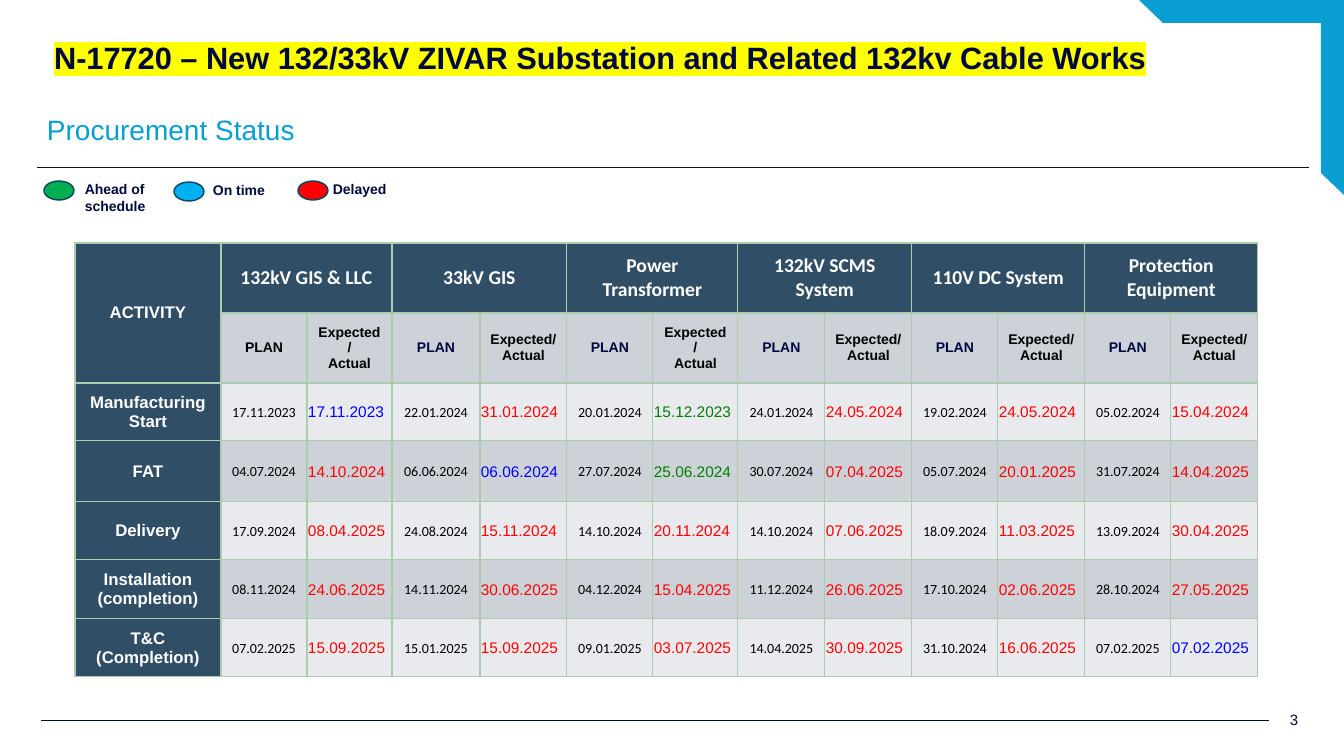
from lxml import etree
from pptx import Presentation
from pptx.dml.color import RGBColor
from pptx.enum.shapes import MSO_CONNECTOR, MSO_SHAPE
from pptx.enum.text import MSO_ANCHOR, MSO_AUTO_SIZE, PP_ALIGN
from pptx.oxml.ns import qn
from pptx.util import Emu, Pt

STRAIGHT = MSO_CONNECTOR.STRAIGHT
OVAL = MSO_SHAPE.OVAL
TOP, MIDDLE = MSO_ANCHOR.TOP, MSO_ANCHOR.MIDDLE
NO_FIT = MSO_AUTO_SIZE.NONE
LEFT, CENTER = PP_ALIGN.LEFT, PP_ALIGN.CENTER

SLIDE_W, SLIDE_H = 1344, 756
EMU_PER_PX = 12192000 / SLIDE_W

NAVY = RGBColor(0x00, 0x09, 0x3F)
SKY = RGBColor(0x08, 0x9E, 0xD1)
RULE = RGBColor(0x11, 0x11, 0x21)
WHITE = RGBColor(0xFF, 0xFF, 0xFF)
BLACK = RGBColor(0x00, 0x00, 0x00)
YELLOW = RGBColor(0xFF, 0xFF, 0x00)
HEADER = RGBColor(0x30, 0x4E, 0x66)
BAND_DARK = RGBColor(0xCC, 0xD2, 0xD8)
BAND_LIGHT = RGBColor(0xE8, 0xEA, 0xED)
BORDER = RGBColor(0xAC, 0xCC, 0xAE)
OVAL_LINE = RGBColor(0x04, 0x45, 0x5C)
OVAL_GREEN = RGBColor(0x00, 0xB0, 0x50)
OVAL_BLUE = RGBColor(0x00, 0xB0, 0xF0)
RED = RGBColor(0xFF, 0x00, 0x00)
GREEN = RGBColor(0x00, 0x80, 0x00)
BLUE = RGBColor(0x00, 0x00, 0xFF)

CORNER = [(1139, 0), (1344, 0), (1344, 195), (1321, 173), (1321, 23), (1163, 23)]
LEGEND = [
    ("Ahead of schedule", OVAL_GREEN, (44, 181), (75, 176, 90, 44)),
    ("On time", OVAL_BLUE, (174, 182), (203, 177, 74, 27)),
    ("Delayed", RED, (298, 181), (323, 176, 115, 27)),
]
COL_WIDTHS = [146, 86, 85, 88, 87, 86, 85, 87, 87, 86, 87, 86, 87]
ROW_HEIGHTS = [70, 70, 58, 61, 58, 59, 58]
PACKAGES = ["132kV GIS & LLC", "33kV GIS", "Power Transformer",
            "132kV SCMS System", "110V DC System", "Protection Equipment"]
ACTIVITIES = [
    ("Manufacturing Start",
     "17.11.2023 17.11.2023 22.01.2024 31.01.2024 20.01.2024 15.12.2023 "
     "24.01.2024 24.05.2024 19.02.2024 24.05.2024 05.02.2024 15.04.2024"),
    ("FAT",
     "04.07.2024 14.10.2024 06.06.2024 06.06.2024 27.07.2024 25.06.2024 "
     "30.07.2024 07.04.2025 05.07.2024 20.01.2025 31.07.2024 14.04.2025"),
    ("Delivery",
     "17.09.2024 08.04.2025 24.08.2024 15.11.2024 14.10.2024 20.11.2024 "
     "14.10.2024 07.06.2025 18.09.2024 11.03.2025 13.09.2024 30.04.2025"),
    ("Installation (completion)",
     "08.11.2024 24.06.2025 14.11.2024 30.06.2025 04.12.2024 15.04.2025 "
     "11.12.2024 26.06.2025 17.10.2024 02.06.2025 28.10.2024 27.05.2025"),
    ("T&C (Completion)",
     "07.02.2025 15.09.2025 15.01.2025 15.09.2025 09.01.2025 03.07.2025 "
     "14.04.2025 30.09.2025 31.10.2024 16.06.2025 07.02.2025 07.02.2025"),
]


def px(n):
    return Emu(round(n * EMU_PER_PX))


def write(tf, text, size, color, bold=False, align=LEFT, font="Arial"):
    tf.text = text
    for p in tf.paragraphs:
        p.alignment = align
        p.font.name = font
        p.font.size = Pt(size)
        p.font.bold = bold
        p.font.color.rgb = color


def add_text(slide, box, text, size, color, bold=False, align=LEFT, anchor=TOP):
    tf = slide.shapes.add_textbox(*map(px, box)).text_frame
    tf.word_wrap = True
    tf.vertical_anchor = anchor
    write(tf, text, size, color, bold, align)
    return tf


def set_title(slide, text):
    title = slide.shapes.title
    title.left, title.top, title.width, title.height = map(px, (44, 38, 1244, 49))
    tf = title.text_frame
    tf.auto_size = NO_FIT
    tf.vertical_anchor = TOP
    write(tf, text, 22, NAVY, True)
    p = tf.paragraphs[0]
    p.line_spacing = 0.9
    rPr = p.runs[0].font._element
    highlight = etree.SubElement(rPr, qn("a:highlight"))
    etree.SubElement(highlight, qn("a:srgbClr"), val=str(YELLOW))


def add_rule(slide, x1, x2, y, color):
    line = slide.shapes.add_connector(STRAIGHT, px(x1), px(y), px(x2), px(y))
    line.line.color.rgb = color
    line.line.width = Pt(0.25)
    etree.SubElement(line._element.spPr, qn("a:effectLst"))


def add_corner(slide):
    builder = slide.shapes.build_freeform(*CORNER[0], scale=EMU_PER_PX)
    builder.add_line_segments(CORNER[1:], close=True)
    sp = builder.convert_to_shape()
    sp.shadow.inherit = False
    sp.fill.solid()
    sp.fill.fore_color.rgb = SKY
    sp.line.fill.background()


def add_legend_item(slide, label, color, spot, box):
    sp = slide.shapes.add_shape(OVAL, px(spot[0]), px(spot[1]), px(30), px(19))
    sp.shadow.inherit = False
    sp.fill.solid()
    sp.fill.fore_color.rgb = color
    sp.line.color.rgb = OVAL_LINE
    sp.line.width = Pt(1)
    add_text(slide, box, label, 10, NAVY, True)


def style_cell(cell, fill, side, top):
    cell.vertical_anchor = MIDDLE
    cell.margin_left = cell.margin_right = px(side)
    cell.margin_top, cell.margin_bottom = px(top), 0
    tcPr = cell._tc.get_or_add_tcPr()
    for edge in ("a:lnL", "a:lnR", "a:lnT", "a:lnB"):
        ln = etree.SubElement(tcPr, qn(edge), w=str(Pt(1)))
        solid = etree.SubElement(ln, qn("a:solidFill"))
        etree.SubElement(solid, qn("a:srgbClr"), val=str(BORDER))
    cell.fill.solid()
    cell.fill.fore_color.rgb = fill


def status_color(plan, actual):
    plan_key, actual_key = (d.split(".")[::-1] for d in (plan, actual))
    if actual_key == plan_key:
        return BLUE
    return RED if actual_key > plan_key else GREEN


def fill_headers(table):
    write(table.cell(0, 0).text_frame, "ACTIVITY", 12, WHITE, True, CENTER)
    table.cell(0, 0).merge(table.cell(1, 0))
    for i, package_name in enumerate(PACKAGES):
        c = 1 + 2 * i
        write(table.cell(0, c).text_frame, package_name, 14, WHITE, True, CENTER, "Calibri")
        table.cell(0, c).merge(table.cell(0, c + 1))
        write(table.cell(1, c).text_frame, "PLAN", 10, NAVY if i else BLACK, True, CENTER)
        write(table.cell(1, c + 1).text_frame, "Expected/\nActual", 10, BLACK, True, CENTER)


def fill_activities(table):
    for r, (activity, dates) in enumerate(ACTIVITIES, 2):
        write(table.cell(r, 0).text_frame, activity, 12, WHITE, True, CENTER)
        days = dates.split()
        for i, (plan, actual) in enumerate(zip(days[::2], days[1::2])):
            c = 1 + 2 * i
            write(table.cell(r, c).text_frame, plan, 10, BLACK, False, CENTER, "Calibri")
            write(table.cell(r, c + 1).text_frame, actual, 11, status_color(plan, actual))


def add_status_table(slide):
    table = slide.shapes.add_table(
        len(ROW_HEIGHTS), len(COL_WIDTHS), px(75), px(243),
        px(sum(COL_WIDTHS)), px(sum(ROW_HEIGHTS))).table
    table.first_row = table.horz_banding = False
    for column, width in zip(table.columns, COL_WIDTHS):
        column.width = px(width)
    for r, height in enumerate(ROW_HEIGHTS):
        table.rows[r].height = px(height)
        for c in range(len(COL_WIDTHS)):
            band = BAND_DARK if r % 2 else BAND_LIGHT
            is_date = r > 1 and c > 0
            style_cell(table.cell(r, c), HEADER if r == 0 or c == 0 else band,
                       1 if is_date else 10, 1 if is_date else 0)
    fill_headers(table)
    fill_activities(table)


def main():
    prs = Presentation()
    prs.slide_width, prs.slide_height = px(SLIDE_W), px(SLIDE_H)
    slide = prs.slides.add_slide(prs.slide_layouts[5])
    add_corner(slide)
    add_rule(slide, 37, 1309, 167, RULE)
    add_rule(slide, 41, 1269, 720, NAVY)
    add_text(slide, (1269, 700, 50, 40), "3", 10.7, NAVY, align=CENTER, anchor=MIDDLE)
    subtitle = add_text(slide, (37, 107, 1104, 49), "Procurement Status", 20, SKY, anchor=MIDDLE)
    subtitle.paragraphs[0].line_spacing = 0.9
    add_status_table(slide)
    for item in LEGEND:
        add_legend_item(slide, *item)
    set_title(slide, "N-17720 – New 132/33kV ZIVAR Substation and Related 132kv Cable Works")
    prs.save("out.pptx")


if __name__ == "__main__":
    main()
